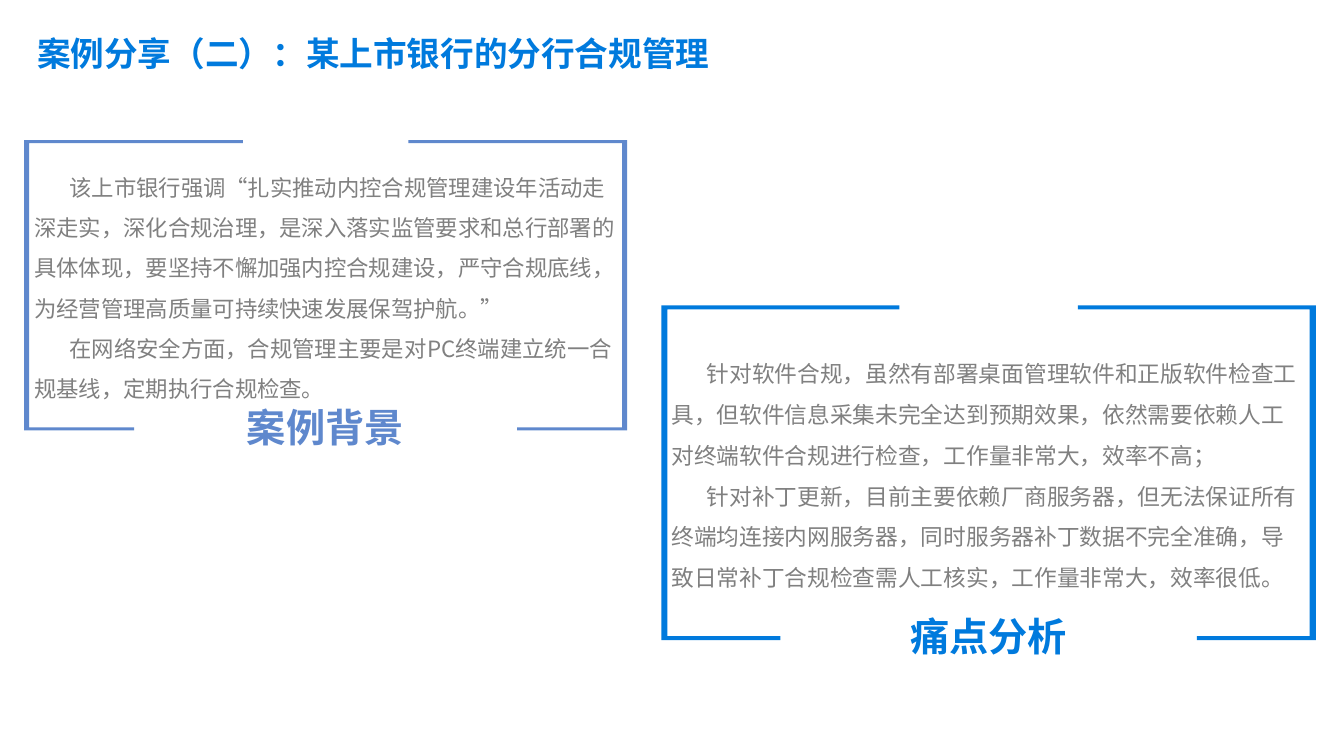
from dataclasses import dataclass

from lxml.etree import SubElement
from pptx import Presentation
from pptx.dml.color import RGBColor as Color
from pptx.enum.text import MSO_ANCHOR as Anchor, PP_ALIGN as Align
from pptx.oxml.ns import qn
from pptx.util import Inches, Pt


@dataclass(frozen=True)
class Theme:
    blue: str = "007ADD"
    soft_blue: str = "5F88CD"
    gray: str = "808080"
    chinese: str = "Noto Sans CJK SC"
    latin: str = "Calibri"
    title_size: float = 24
    label_size: float = 28
    line_spacing: float = 1.5
    indent: float = 0.35


THEME = Theme()
TITLE = "案例分享（二）：某上市银行的分行合规管理"
TITLE_BOX = (0.27, 0.28, 10.89, 0.5)
PANELS = [
    {
        "label": "案例背景",
        "label_box": (1.83, 3.79, 2.79, 0.88),
        "frame": (0.24, 1.39, 5.98, 2.88),
        "arms": (2.17, 1.09),
        "thickness": (0.05, 0.03),
        "color": THEME.soft_blue,
        "size": 16,
        "body": [
            "该上市银行强调“扎实推动内控合规管理建设年活动走深走实，深化合规治理，是深入落实监管要求和总行部署的具体体现，要坚持不懈加强内控合规建设，严守合规底线，为经营管理高质量可持续快速发展保驾护航。”",
            "在网络安全方面，合规管理主要是对PC终端建立统一合规基线，定期执行合规检查。",
        ],
    },
    {
        "label": "痛点分析",
        "label_box": (7.54, 5.78, 4.53, 1.06),
        "frame": (6.56, 3.03, 6.49, 3.32),
        "arms": (2.36, 1.18),
        "thickness": (0.06, 0.04),
        "color": THEME.blue,
        "size": 16.2,
        "body": [
            "针对软件合规，虽然有部署桌面管理软件和正版软件检查工具，但软件信息采集未完全达到预期效果，依然需要依赖人工对终端软件合规进行检查，工作量非常大，效率不高；",
            "针对补丁更新，目前主要依赖厂商服务器，但无法保证所有终端均连接内网服务器，同时服务器补丁数据不完全准确，导致日常补丁合规检查需人工核实，工作量非常大，效率很低。",
        ],
    },
]


def format_runs(paragraph, size, color, latin, bold=False):
    for run in paragraph.runs:
        run.font.size = Pt(size)
        run.font.bold = bold
        run.font.name = latin
        run.font.color.rgb = Color.from_string(color)
        SubElement(run.font._element, qn("a:ea"), typeface=THEME.chinese)


def add_heading(slide, text, box, size, color, latin, align, anchor):
    shape = slide.shapes.add_textbox(*map(Inches, box))
    frame = shape.text_frame
    frame.word_wrap = True
    frame.vertical_anchor = anchor
    frame.text = text
    paragraph = frame.paragraphs[0]
    paragraph.alignment = align
    format_runs(paragraph, size, color, latin, bold=True)


def add_frame(slide, panel):
    left, top, width, height = panel["frame"]
    top_arm, bottom_arm = panel["arms"]
    side, bar = panel["thickness"]
    bracket = [
        (0, 0), (top_arm, 0), (top_arm, bar), (side, bar), (side, height - bar),
        (bottom_arm, height - bar), (bottom_arm, height), (0, height),
    ]
    left_half = [(Inches(left + x), Inches(top + y)) for x, y in bracket]
    right_half = [(Inches(left + width - x), Inches(top + y)) for x, y in bracket]
    builder = slide.shapes.build_freeform(*left_half[0])
    builder.add_line_segments(left_half[1:], close=True)
    builder.move_to(*right_half[0])
    builder.add_line_segments(right_half[1:], close=True)
    shape = builder.convert_to_shape()
    shape.shadow.inherit = False
    shape.fill.solid()
    shape.fill.fore_color.rgb = Color.from_string(panel["color"])
    shape.line.fill.background()
    return shape


def add_body(shape, panel):
    frame = shape.text_frame
    frame.word_wrap = True
    frame.vertical_anchor = Anchor.MIDDLE
    frame.margin_left = frame.margin_right = Inches(0.1)
    frame.margin_top, frame.margin_bottom = Inches(0.12), Inches(0.2)
    frame.text = "\n".join(panel["body"])
    for paragraph in frame.paragraphs:
        paragraph.alignment = Align.LEFT
        paragraph.line_spacing = THEME.line_spacing
        properties = paragraph._p.get_or_add_pPr()
        properties.set("marL", "0")
        properties.set("indent", str(Inches(THEME.indent)))
        format_runs(paragraph, panel["size"], THEME.gray, THEME.chinese)


def main():
    presentation = Presentation()
    presentation.slide_width, presentation.slide_height = Inches(13.33), Inches(7.5)
    slide = presentation.slides.add_slide(presentation.slide_layouts[6])
    add_heading(slide, TITLE, TITLE_BOX, THEME.title_size, THEME.blue,
                THEME.chinese, Align.LEFT, Anchor.TOP)
    for panel in PANELS:
        add_body(add_frame(slide, panel), panel)
        add_heading(slide, panel["label"], panel["label_box"], THEME.label_size,
                    panel["color"], THEME.latin, Align.CENTER, Anchor.MIDDLE)
    presentation.save("out.pptx")


if __name__ == "__main__":
    main()
